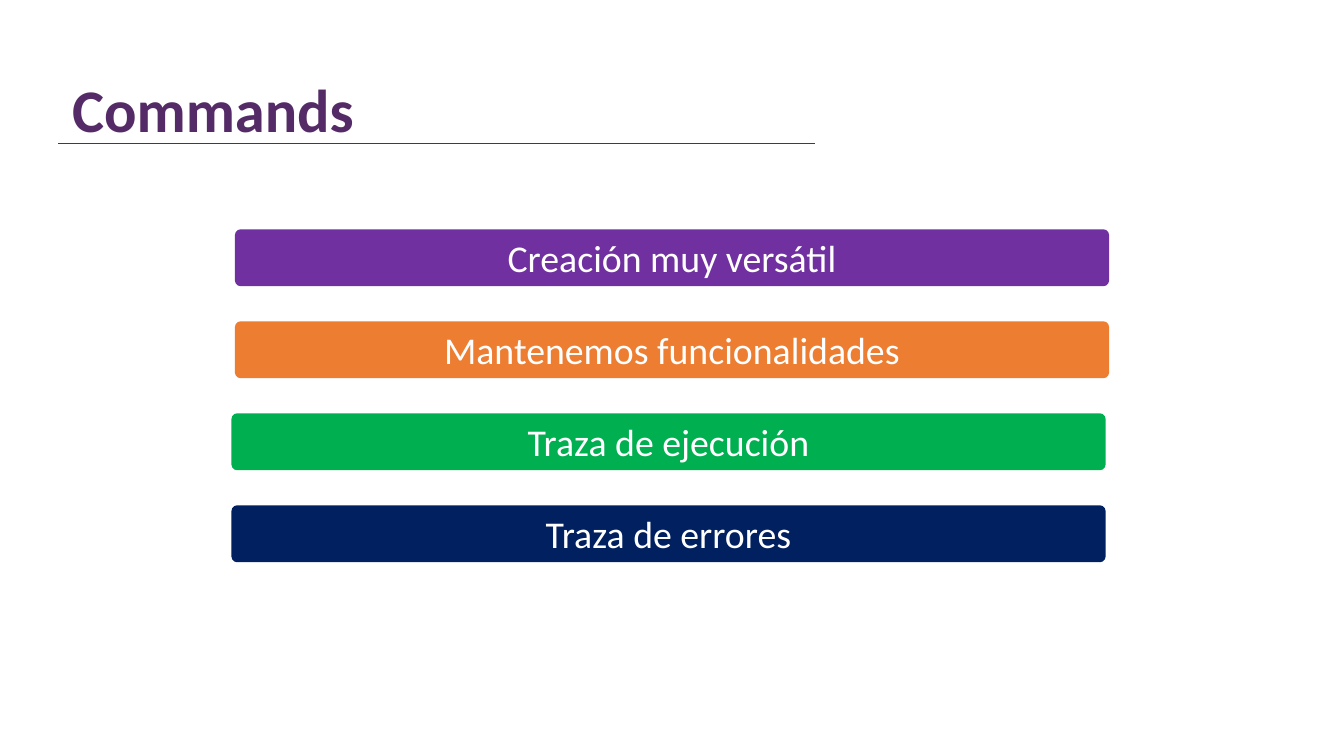
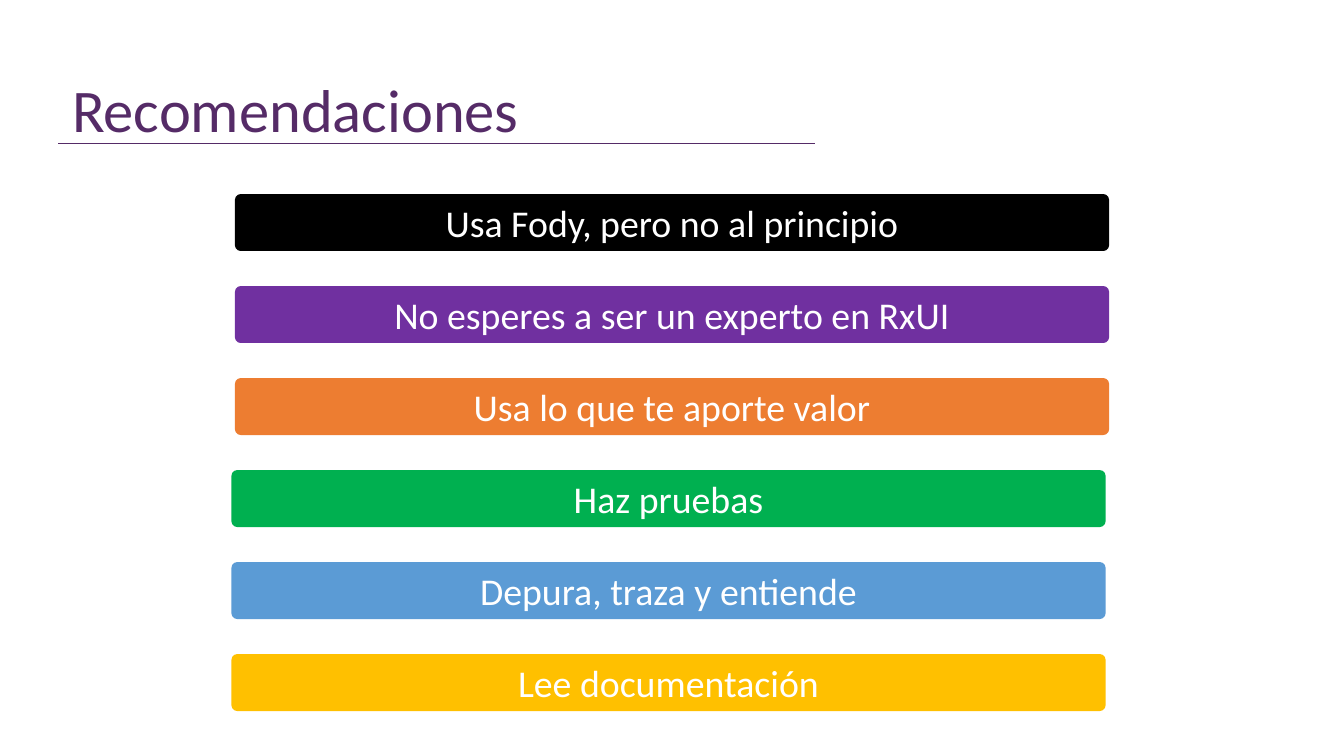
from dataclasses import dataclass

from lxml import etree
from pptx import Presentation
from pptx import util as u
from pptx.dml.color import RGBColor
from pptx.enum import shapes, text
from pptx.oxml import ns

FONT = "Calibri"
PLUM = "552B67"
PURPLE = "7030A0"
ORANGE = "ED7D31"
GREEN = "00B050"
NAVY = "002060"
BLUE = "5B9BD5"
GOLD = "FFC000"
BLACK = "000000"
WHITE = "FFFFFF"

BAR_HEIGHT = 7.53
BAR_PITCH = 12.17
BAR_SHIFT = 0.26


@dataclass
class Box:
    left: float
    top: float
    width: float
    height: float

    def share(self, left, top, width, height):
        return Box(
            self.left + self.width * left / 100,
            self.top + self.height * top / 100,
            self.width * width / 100,
            self.height * height / 100,
        )

    def lengths(self):
        return [u.Inches(side) for side in (self.left, self.top, self.width, self.height)]


PAGE = Box(0, 0, 26.66, 15)


def color(value):
    return RGBColor.from_string(value)


def style_paragraph(paragraph, size, ink, alignment, bold=False):
    paragraph.alignment = alignment
    for run in paragraph.runs:
        run.font.name = FONT
        run.font.size = u.Pt(size)
        run.font.bold = bold
        run.font.color.rgb = color(ink)


def add_rule(slide, box):
    left, top, width, _ = box.lengths()
    rule = slide.shapes.add_connector(
        shapes.MSO_CONNECTOR.STRAIGHT, left, top, left + width, top
    )
    rule.line.color.rgb = color(PLUM)
    rule.line.width = u.Pt(0.5)
    etree.SubElement(rule._element.spPr, ns.qn("a:effectLst"))


def set_title(slide, box, wording, bold):
    title = slide.shapes.title
    title.left, title.top, title.width, title.height = box.lengths()
    frame = title.text_frame
    frame.text = wording
    frame.auto_size = text.MSO_AUTO_SIZE.NONE
    frame.vertical_anchor = text.MSO_ANCHOR.BOTTOM
    paragraph = frame.paragraphs[0]
    paragraph.line_spacing = 0.9
    style_paragraph(paragraph, 86.4, PLUM, text.PP_ALIGN.LEFT, bold)


def add_bar(slide, box, wording, fill):
    bar = slide.shapes.add_shape(shapes.MSO_SHAPE.ROUNDED_RECTANGLE, *box.lengths())
    bar.adjustments[0] = 0.1
    bar.shadow.inherit = False
    bar.fill.solid()
    bar.fill.fore_color.rgb = color(fill)
    bar.line.fill.background()
    frame = bar.text_frame
    frame.word_wrap = True
    frame.text = wording
    frame.vertical_anchor = text.MSO_ANCHOR.MIDDLE
    style_paragraph(frame.paragraphs[0], 54, WHITE, text.PP_ALIGN.CENTER)


def add_bar_slide(presentation, page, title, bold, first_top, shifted_count, bars):
    slide = presentation.slides.add_slide(presentation.slide_layouts[5])
    add_rule(slide, page.share(4.35, 18.93, 56.26, 0))
    set_title(slide, page.share(4.99, 9.4, 70.86, 10.2), title, bold)
    for row, (wording, fill) in enumerate(bars):
        left = 17.22 + (BAR_SHIFT if row < shifted_count else 0)
        box = page.share(left, first_top + row * BAR_PITCH, 65.04, BAR_HEIGHT)
        add_bar(slide, box, wording, fill)


def main():
    presentation = Presentation()
    presentation.slide_width = u.Inches(PAGE.width)
    presentation.slide_height = u.Inches(PAGE.height)
    add_bar_slide(
        presentation, PAGE, "Commands", True, 30.33, 2,
        [
            ("Creación muy versátil", PURPLE),
            ("Mantenemos funcionalidades", ORANGE),
            ("Traza de ejecución", GREEN),
            ("Traza de errores", NAVY),
        ],
    )
    add_bar_slide(
        presentation, PAGE, "Recomendaciones", False, 25.67, 3,
        [
            ("Usa Fody, pero no al principio", BLACK),
            ("No esperes a ser un experto en RxUI", PURPLE),
            ("Usa lo que te aporte valor", ORANGE),
            ("Haz pruebas", GREEN),
            ("Depura, traza y entiende", BLUE),
            ("Lee documentación", GOLD),
        ],
    )
    presentation.save("out.pptx")


if __name__ == "__main__":
    main()
